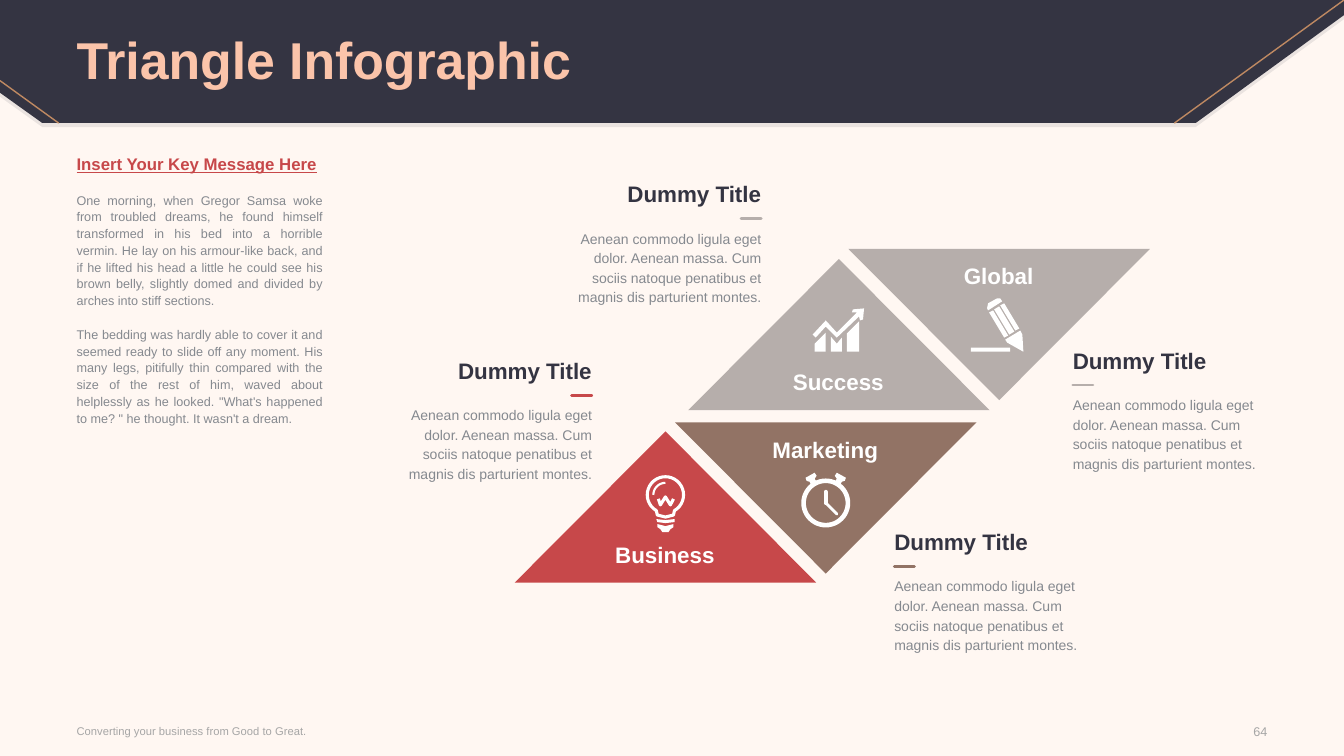
from math import cos, radians, sin

from lxml import etree
from pptx import Presentation
from pptx.dml.color import RGBColor
from pptx.enum.shapes import MSO_CONNECTOR, MSO_SHAPE
from pptx.enum.text import MSO_ANCHOR, MSO_AUTO_SIZE, PP_ALIGN
from pptx.oxml.ns import qn
from pptx.util import Inches, Pt

LEFT, CENTER, RIGHT, JUSTIFY = PP_ALIGN.LEFT, PP_ALIGN.CENTER, PP_ALIGN.RIGHT, PP_ALIGN.JUSTIFY
TOP, MIDDLE = MSO_ANCHOR.TOP, MSO_ANCHOR.MIDDLE
STRAIGHT, OVAL = MSO_CONNECTOR.STRAIGHT, MSO_SHAPE.OVAL
NO_AUTOFIT = MSO_AUTO_SIZE.NONE

CREAM = RGBColor(0xFF, 0xF7, 0xF2)
NAVY = RGBColor(0x34, 0x34, 0x42)
PEACH = RGBColor(0xFB, 0xC4, 0xAA)
BRONZE = RGBColor(0xBF, 0x89, 0x62)
RED = RGBColor(0xC7, 0x48, 0x4A)
BROWN = RGBColor(0x92, 0x73, 0x65)
TAUPE = RGBColor(0xB6, 0xAE, 0xAB)
GRAY = RGBColor(0x85, 0x89, 0x8F)
PALE_GRAY = RGBColor(0xA6, 0xA6, 0xA6)
WHITE = RGBColor(0xFF, 0xFF, 0xFF)

prs = Presentation()
prs.slide_width, prs.slide_height = Inches(13.33), Inches(7.5)
slide = prs.slides.add_slide(prs.slide_layouts[5])
slide.background.fill.solid()
slide.background.fill.fore_color.rgb = CREAM
shapes = slide.shapes


def add_text(content, left, top, width, height, size=10, color=GRAY, bold=False,
             align=LEFT, anchor=TOP, spacing=None, gap=0, box=None):
    """Write one paragraph per line of content, in a new box or a given one."""
    box = box or shapes.add_textbox(0, 0, 0, 0)
    box.left, box.top = Inches(left), Inches(top)
    box.width, box.height = Inches(width), Inches(height)
    frame = box.text_frame
    frame.text = content
    frame.word_wrap = True
    frame.auto_size = NO_AUTOFIT
    frame.vertical_anchor = anchor
    frame.margin_left = frame.margin_right = frame.margin_top = frame.margin_bottom = 0
    for index, paragraph in enumerate(frame.paragraphs):
        paragraph.alignment = align
        paragraph.line_spacing = spacing
        paragraph.space_before = Pt(gap if index else 0)
        font = paragraph.font
        font.name, font.size, font.bold = "Arial", Pt(size), bold
        font.color.rgb = color
    return frame


def draw(*contours, fill=None, stroke=0):
    """Draw contours as one filled shape, or as open white strokes of a given width."""
    builder = None
    for contour in contours:
        corners = [(Inches(x), Inches(y)) for x, y in contour]
        if builder is None:
            builder = shapes.build_freeform(*corners[0])
        else:
            builder.move_to(*corners[0])
        builder.add_line_segments(corners[1:], close=fill is not None)
    outline = builder.convert_to_shape()
    outline.shadow.inherit = False
    if fill is None:
        outline.fill.background()
        outline.line.color.rgb = WHITE
        outline.line.width = Pt(stroke)
    else:
        outline.fill.solid()
        outline.fill.fore_color.rgb = fill
        outline.line.fill.background()
    return outline


# Header band over its soft shadow
band = [(0, 0), (13.33, 0), (13.33, 0.15), (11.86, 1.22), (0.42, 1.22), (0, 0.92)]
band_shadow = draw([(x, y + 0.04) for x, y in band], fill=NAVY)
shadow_color = band_shadow.fill._xPr.find(qn("a:solidFill"))[0]
etree.SubElement(shadow_color, qn("a:alpha"), val="10000")
draw(band, fill=NAVY)

# Title, placed above the band
title = shapes.title
add_text("Triangle Infographic", 0.76, 0.04, 11.81, 1.17, size=37, color=PEACH,
         bold=True, anchor=MIDDLE, spacing=0.9, box=title)
shapes._spTree.append(title._element)

# Key message
message = add_text(
    "Insert Your Key Message Here\n"
    "One morning, when Gregor Samsa woke from troubled dreams, he found himself "
    "transformed in his bed into a horrible vermin. He lay on his armour-like back, "
    "and if he lifted his head a little he could see his brown belly, slightly domed "
    "and divided by arches into stiff sections.\n"
    "The bedding was hardly able to cover it and seemed ready to slide off any moment. "
    "His many legs, pitifully thin compared with the size of the rest of him, waved "
    "about helplessly as he looked. \"What's happened to me? \" he thought. "
    "It wasn't a dream.",
    0.76, 1.56, 2.44, 5.19, size=9, align=JUSTIFY, spacing=Pt(12), gap=12)
heading = message.paragraphs[0].font
heading.size, heading.bold, heading.underline = Pt(12), True, True
heading.color.rgb = RED

# Footer
add_text("Converting your business from Good to Great.", 0.76, 7.12, 5.23, 0.26,
         size=8, color=PALE_GRAY, anchor=MIDDLE)
add_text("64", 11.94, 7.13, 0.63, 0.26, size=9, color=PALE_GRAY, align=RIGHT, anchor=MIDDLE)

# Triangles with labels: centre, top, label top, points up, colour
HALF, TALL = 1.495, 1.5
for label, center, top, label_top, up, color in [
    ("Business", 6.6, 4.28, 5.37, True, RED),
    ("Global", 9.91, 2.47, 2.6, False, TAUPE),
    ("Marketing", 8.19, 4.19, 4.33, False, BROWN),
    ("Success", 8.32, 2.57, 3.65, True, TAUPE),
]:
    base, apex = (top + TALL, top) if up else (top, top + TALL)
    draw([(center - HALF, base), (center, apex), (center + HALF, base)], fill=color)
    add_text(label, center - 0.97, label_top, 1.93, 0.27,
             size=16, color=WHITE, bold=True, align=CENTER)

# Header corner lines and clock hands: from, to, colour, width
lines = [
    ((13.33, 0), (11.65, 1.22), BRONZE, 1),
    ((0, 0.8), (0.58, 1.22), BRONZE, 1),
    ((8.19, 4.88), (8.19, 4.99), WHITE, 3),
    ((8.19, 4.99), (8.3, 5.1), WHITE, 2),
]

# Descriptions with accent dashes
for left, top, align, color in [
    (3.94, 3.54, RIGHT, RED),
    (5.62, 1.79, RIGHT, TAUPE),
    (8.87, 5.24, LEFT, BROWN),
    (10.64, 3.44, LEFT, TAUPE),
]:
    add_text("Dummy Title", left, top, 1.93, 0.27, size=16, color=NAVY, bold=True, align=align)
    add_text("Aenean commodo ligula eget dolor. Aenean massa. Cum sociis natoque "
             "penatibus et magnis dis parturient montes.",
             left, top + 0.465, 1.93, 0.79, align=align, spacing=Pt(14))
    dash = left + 1.73 if align == RIGHT else left
    lines.append(((dash, top + 0.38), (dash + 0.2, top + 0.38), color, 2))

for start, end, color, width in lines:
    line = shapes.add_connector(STRAIGHT, *[Inches(n) for n in start + end])
    line.line.color.rgb = color
    line.line.width = Pt(width)
    line.line._get_or_add_ln().set("cap", "rnd")
    etree.SubElement(line._element.spPr, qn("a:effectLst"))

# Clock ring
ring = shapes.add_shape(OVAL, Inches(7.97), Inches(4.77), Inches(0.44), Inches(0.44))
ring.shadow.inherit = False
ring.fill.background()
ring.line.color.rgb = WHITE
ring.line.width = Pt(3.3)

# Clock bells, mirrored about its axis
bell = [(0.09, 4.72), (0.11, 4.69), (0.2, 4.74), (0.19, 4.77), (0.16, 4.78),
        (0.14, 4.82), (0.09, 4.78), (0.11, 4.75)]
draw(*[[(8.19 + side * x, y) for x, y in bell] for side in (-1, 1)], fill=WHITE)

# Bulb: glass, highlight, filament and base
glass = [(6.6 + 0.18 * cos(radians(a)), 4.91 + 0.18 * sin(radians(a)))
         for a in range(120, 421, 10)]
neck = [(6.68, 5.11), (6.6, 5.13), (6.52, 5.11)]
filament = [(6.53, 4.95), (6.55, 5.01), (6.6, 4.93), (6.65, 5.01), (6.68, 4.95)]
draw(glass + neck + glass[:1], filament, stroke=2.2)
draw([(6.6 + 0.12 * cos(radians(a)), 4.91 + 0.12 * sin(radians(a)))
      for a in range(180, 271, 10)], stroke=1.5)
draw([(6.51, 5.15), (6.6, 5.16), (6.69, 5.15), (6.69, 5.18), (6.6, 5.19), (6.52, 5.18)],
     [(6.52, 5.2), (6.6, 5.22), (6.68, 5.2), (6.68, 5.23), (6.65, 5.25), (6.63, 5.28),
      (6.57, 5.28), (6.55, 5.25), (6.52, 5.23)], fill=WHITE)

# Growth chart: bars, trend line and arrowhead
draw([(8.08, 3.41), (8.19, 3.3), (8.19, 3.49), (8.08, 3.49)],
     [(8.24, 3.34), (8.3, 3.41), (8.35, 3.35), (8.35, 3.49), (8.24, 3.49)],
     [(8.4, 3.31), (8.52, 3.19), (8.52, 3.49), (8.4, 3.49)],
     [(8.06, 3.32), (8.19, 3.18), (8.3, 3.3), (8.5, 3.1), (8.45, 3.1), (8.46, 3.07),
      (8.57, 3.06), (8.56, 3.17), (8.53, 3.18), (8.52, 3.14), (8.3, 3.35),
      (8.19, 3.24), (8.09, 3.35)], fill=WHITE)

# Pencil: tip, three stripes, eraser and drawn line
draw([(9.97, 3.37), (10.12, 3.28), (10.14, 3.32), (10.15, 3.49), (9.99, 3.4)],
     [(9.92, 3.03), (9.96, 3.01), (10.11, 3.26), (10.07, 3.28)],
     [(9.86, 3.07), (9.91, 3.04), (10.06, 3.29), (10.01, 3.32)],
     [(9.81, 3.1), (9.85, 3.08), (10, 3.33), (9.96, 3.35)],
     [(9.79, 3.06), (9.8, 3.01), (9.89, 2.96), (9.92, 2.96), (9.94, 2.99), (9.8, 3.08)],
     [(9.63, 3.45), (10.02, 3.45), (10.02, 3.49), (9.63, 3.49)], fill=WHITE)

prs.save("out.pptx")
